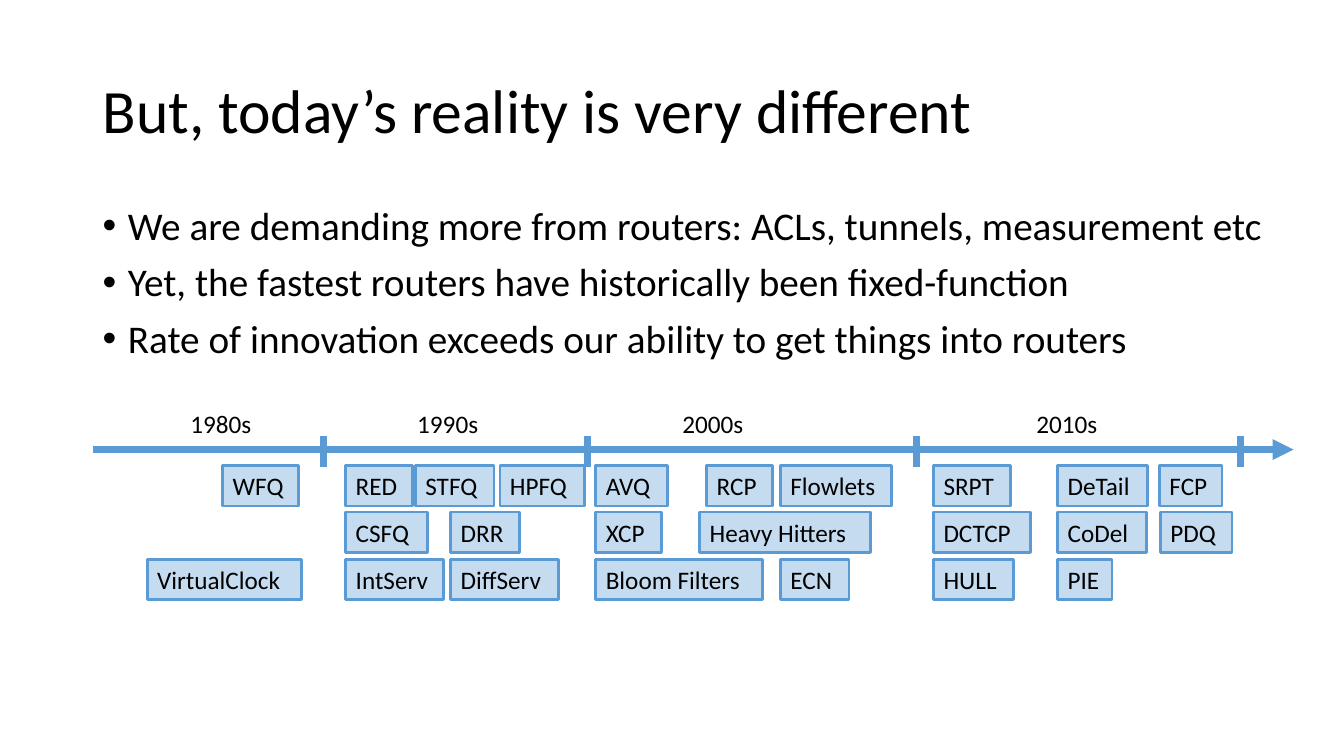
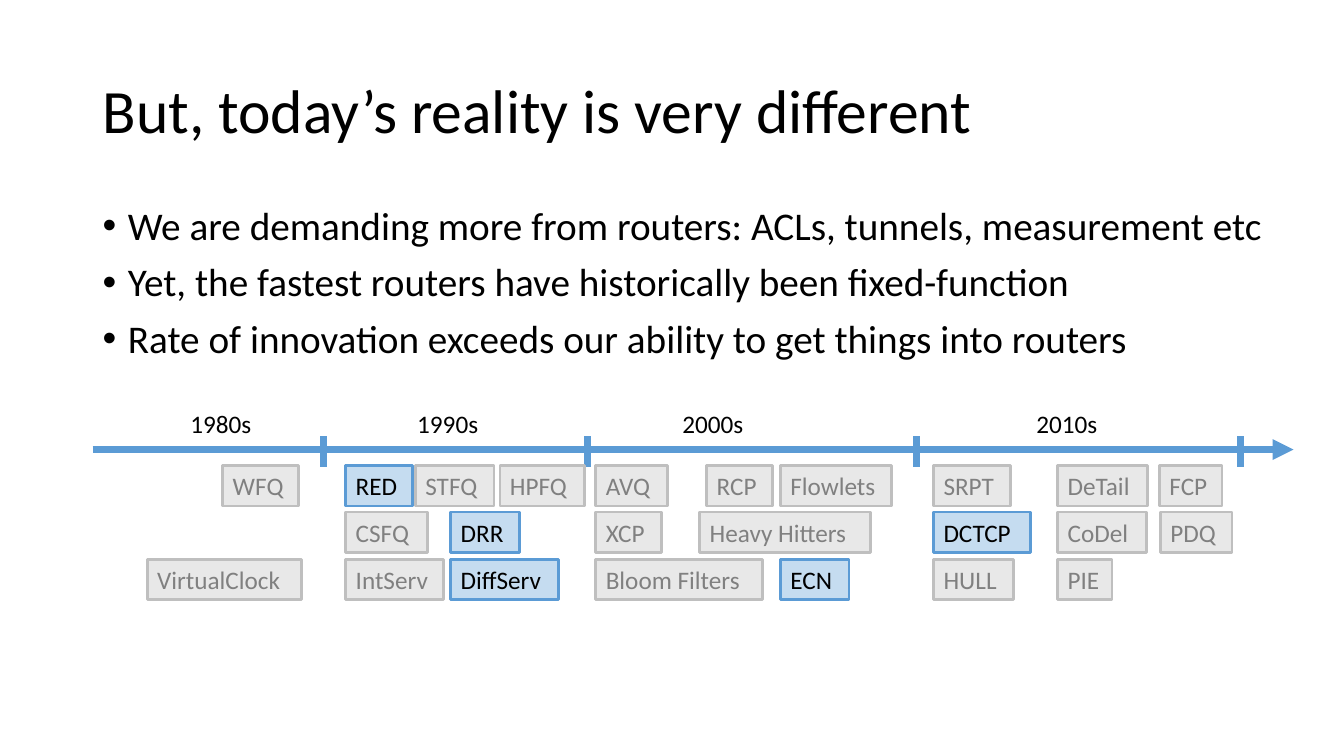
from lxml.etree import SubElement
from pptx import Presentation
from pptx.dml.color import RGBColor
from pptx.enum.shapes import MSO_CONNECTOR as CONNECTOR, MSO_SHAPE as SHAPE
from pptx.enum.text import MSO_ANCHOR as ANCHOR, MSO_AUTO_SIZE as AUTO_SIZE, PP_ALIGN as ALIGN
from pptx.oxml.ns import qn
from pptx.util import Inches, Pt

COLORS = {"text": "000000", "accent": "5B9BD5", "muted": "BFBFBF", "muted_text": "808080"}
FONT = "Calibri"
TITLE_BOX = (0.92, 0.4, 11.5, 1.45)
POINTS_BOX = (0.92, 2, 11.96, 5.34)
TIMELINE_BOX = (0.92, 4, 11.91, 1.95)

TITLE = "But, today’s reality is very different"
POINTS = [
    "We are demanding more from routers: ACLs, tunnels, measurement etc",
    "Yet, the fastest routers have historically been fixed-function",
    "Rate of innovation exceeds our ability to get things into routers",
]

DECADES = [("1980s", 0.87), ("1990s", 3.12), ("2000s", 5.75), ("2010s", 9.26)]
DECADE_ENDS = [2.29, 4.91, 8.17, 11.38]
AXIS_TOP = 0.46
TICK_TOP, TICK_BOTTOM = 0.33, 0.63
LABEL_WIDTH, LABEL_HEIGHT = 0.86, 0.4
ALGORITHM_ROWS = [
    (0.62, [("WFQ", 1.29, 0.75), ("RED", 2.51, 0.66), ("STFQ", 3.2, 0.78),
            ("HPFQ", 4.04, 0.84), ("AVQ", 4.99, 0.71), ("RCP", 6.09, 0.65),
            ("Flowlets", 6.82, 1.1), ("SRPT", 8.34, 0.76), ("DeTail", 9.57, 0.89),
            ("FCP", 10.58, 0.62)]),
    (1.08, [("CSFQ", 2.51, 0.81), ("DRR", 3.55, 0.68), ("XCP", 4.99, 0.65),
            ("Heavy Hitters", 6.02, 1.69), ("DCTCP", 8.34, 0.96),
            ("CoDel", 9.57, 0.88), ("PDQ", 10.59, 0.71)]),
    (1.55, [("VirtualClock", 0.54, 1.53), ("IntServ", 2.51, 0.97),
            ("DiffServ", 3.55, 1.07), ("Bloom Filters", 4.99, 1.65),
            ("ECN", 6.82, 0.68), ("HULL", 8.34, 0.79), ("PIE", 9.57, 0.54)]),
]
ALGORITHMS = {name for _, row in ALGORITHM_ROWS for name, _, _ in row}
DEPLOYED = {"RED", "DRR", "DiffServ", "ECN", "DCTCP"}
WRAPPED = {"VirtualClock"}


def rgb(color):
    return RGBColor.from_string(COLORS[color])


def write_text(frame, lines, size=18, color="text", anchor=ANCHOR.TOP, wrap=True,
               fit=AUTO_SIZE.NONE, spacing=None, before=0, bullet=None):
    frame.word_wrap = wrap
    frame.auto_size = fit
    frame.vertical_anchor = anchor
    for index, line in enumerate(lines):
        paragraph = frame.add_paragraph() if index else frame.paragraphs[0]
        paragraph.alignment = ALIGN.LEFT
        paragraph.line_spacing = spacing
        paragraph.space_before = Pt(before)
        run = paragraph.add_run()
        run.text = line
        run.font.name = FONT
        run.font.size = Pt(size)
        run.font.color.rgb = rgb(color)
        if bullet:
            properties = paragraph._p.get_or_add_pPr()
            properties.set("marL", str(Inches(0.25)))
            properties.set("indent", str(Inches(-0.25)))
            SubElement(properties, qn("a:buFont"), typeface="Arial")
            SubElement(properties, qn("a:buChar"), char=bullet)


def add_title(slide, box):
    title = slide.shapes.title
    title.left, title.top, title.width, title.height = map(Inches, box)
    write_text(title.text_frame, [TITLE], size=44, anchor=ANCHOR.MIDDLE, spacing=0.9)


def add_points(slide, box):
    points = slide.shapes.add_textbox(*map(Inches, box))
    write_text(points.text_frame, POINTS, size=28, spacing=0.9, before=10, bullet="•")


def add_rule(shapes, start, end, arrow=False):
    rule = shapes.add_connector(CONNECTOR.STRAIGHT, *map(Inches, start + end))
    rule.line.color.rgb = rgb("accent")
    rule.line.width = Pt(5)
    if arrow:
        SubElement(rule.line._get_or_add_ln(), qn("a:tailEnd"), type="triangle")
    SubElement(rule.element.spPr, qn("a:effectLst"))


def add_algorithm(shapes, name, box, active):
    color = "accent" if active else "muted"
    tag = shapes.add_shape(SHAPE.RECTANGLE, *map(Inches, box))
    tag.shadow.inherit = False
    tag.fill.solid()
    tag.fill.fore_color.rgb = rgb(color)
    fill_color = tag.element.spPr.find(qn("a:solidFill"))[0]
    SubElement(fill_color, qn("a:alpha"), val="35000")
    tag.line.color.rgb = rgb(color)
    tag.line.width = Pt(2)
    write_text(tag.text_frame, [name], color="text" if active else "muted_text",
               wrap=name in WRAPPED, fit=AUTO_SIZE.SHAPE_TO_FIT_TEXT)


def add_timeline(slide, box, highlighted):
    left, top, width, _ = box
    shapes = slide.shapes.add_group_shape().shapes
    axis = top + AXIS_TOP
    add_rule(shapes, (left, axis), (left + width, axis), arrow=True)
    for decade, x in DECADES:
        label = shapes.add_textbox(*map(Inches, (left + x, top, LABEL_WIDTH, LABEL_HEIGHT)))
        write_text(label.text_frame, [decade], wrap=False, fit=AUTO_SIZE.SHAPE_TO_FIT_TEXT)
    for x in DECADE_ENDS:
        add_rule(shapes, (left + x, top + TICK_BOTTOM), (left + x, top + TICK_TOP))
    for y, row in ALGORITHM_ROWS:
        for name, x, tag_width in row:
            add_algorithm(shapes, name, (left + x, top + y, tag_width, LABEL_HEIGHT),
                          name in highlighted)


def add_reality_slide(deck, highlighted):
    slide = deck.slides.add_slide(deck.slide_layouts.get_by_name("Title Only"))
    add_title(slide, TITLE_BOX)
    add_points(slide, POINTS_BOX)
    add_timeline(slide, TIMELINE_BOX, highlighted)


deck = Presentation()
deck.slide_width, deck.slide_height = Inches(13.33), Inches(7.5)
for highlighted in (ALGORITHMS, DEPLOYED):
    add_reality_slide(deck, highlighted)
deck.save("out.pptx")
